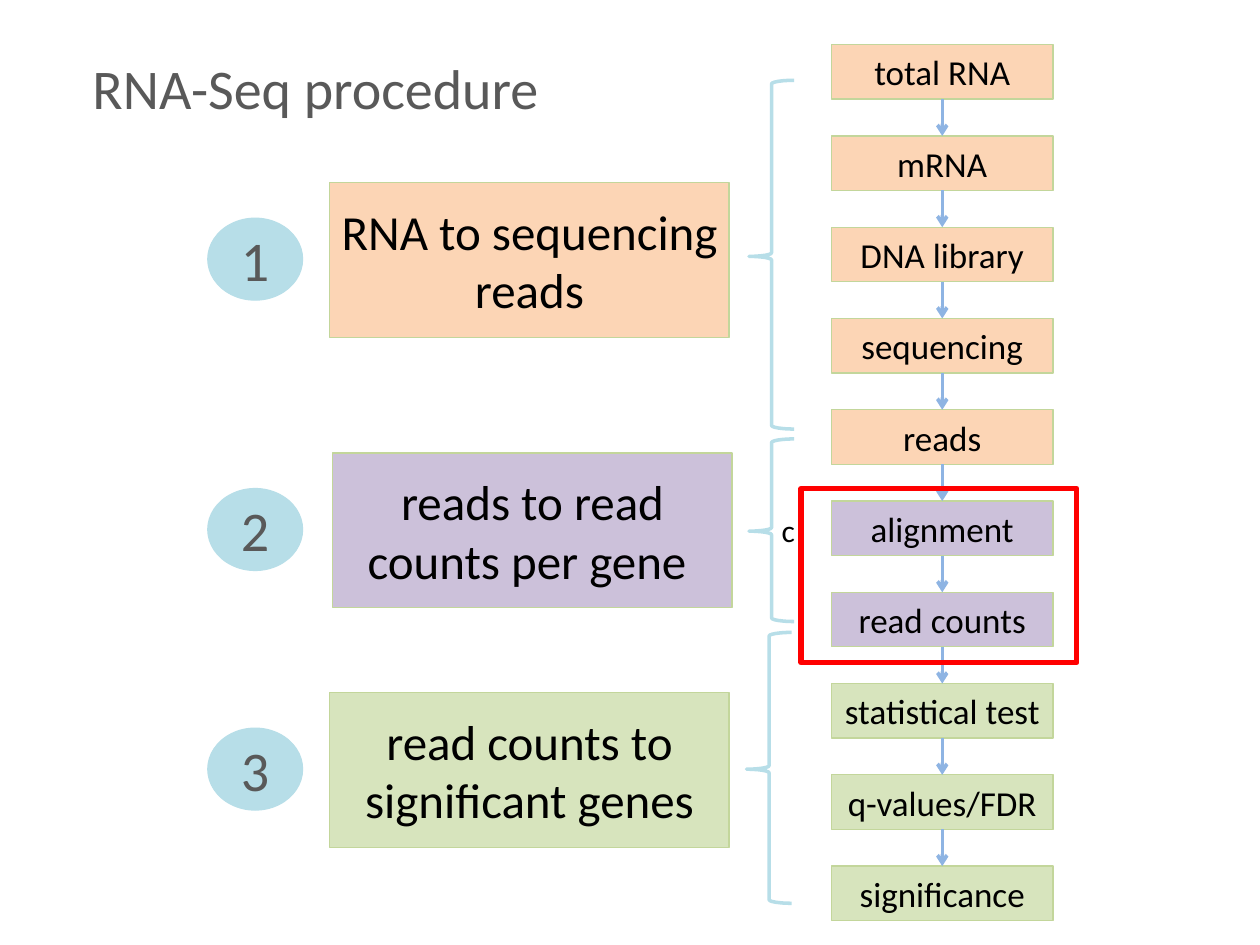
from lxml.etree import SubElement
from pptx import Presentation
from pptx.dml.color import RGBColor
from pptx.enum.shapes import MSO_CONNECTOR, MSO_SHAPE
from pptx.enum.text import MSO_ANCHOR, MSO_AUTO_SIZE, PP_ALIGN
from pptx.oxml.ns import qn
from pptx.util import Cm, Pt

BLACK = RGBColor(0x00, 0x00, 0x00)
GREY = RGBColor(0x59, 0x59, 0x59)
ORANGE = RGBColor(0xFC, 0xD5, 0xB5)
PURPLE = RGBColor(0xCC, 0xC1, 0xDA)
GREEN = RGBColor(0xD7, 0xE4, 0xBD)
EDGE = RGBColor(0xC3, 0xD6, 0x9B)
BLUE = RGBColor(0x8E, 0xB4, 0xE3)
AQUA = RGBColor(0xB7, 0xDE, 0xE8)
RED = RGBColor(0xFF, 0x00, 0x00)

STEP_LEFT, STEP_TOP, STEP_WIDTH, STEP_HEIGHT, STEP_PITCH = 16.76, 0.9, 4.47, 1.1, 1.84
STEPS = [
    ("total RNA", ORANGE), ("mRNA", ORANGE), ("DNA library", ORANGE),
    ("sequencing", ORANGE), ("reads", ORANGE), ("alignment", PURPLE),
    ("read counts", PURPLE), ("statistical test", GREEN),
    ("q-values/FDR", GREEN), ("significance", GREEN),
]
STAGES = [
    ("RNA to sequencing reads", ORANGE, 6.65, 3.68),
    ("reads to read counts per gene ", PURPLE, 6.71, 9.13),
    ("read counts to significant genes", GREEN, 6.65, 13.96),
]
BRACES = [(15.1, 1.62, 7.03, ""), (15.1, 8.85, 3.68, "c"), (15.05, 12.75, 5.46, "")]


def write_text(shape, text, size, colour, inset=None):
    """Put one centred paragraph in the middle of a shape."""
    frame = shape.text_frame
    layout = {"word_wrap": True, "auto_size": MSO_AUTO_SIZE.NONE,
              "vertical_anchor": MSO_ANCHOR.MIDDLE}
    if inset is not None:
        sides = ("left", "top", "right", "bottom")
        layout.update({f"margin_{side}": inset for side in sides})
    for name, value in layout.items():
        setattr(frame, name, value)
    para = frame.paragraphs[0]
    para.alignment = PP_ALIGN.CENTER
    span = para.add_run()
    span.text = text
    for name, value in {"name": "Calibri", "size": Pt(size)}.items():
        setattr(span.font, name, value)
    span.font.color.rgb = colour


def add_outline(page, kind, place, line, width, fill=None):
    """Add a preset shape at a place given in centimetres."""
    shape = page.shapes.add_shape(kind, *map(Cm, place))
    shape.shadow.inherit = False
    if fill is None:
        shape.fill.background()
    else:
        shape.fill.solid()
        shape.fill.fore_color.rgb = fill
    shape.line.color.rgb = line
    shape.line.width = Pt(width)
    return shape


def add_box(page, text, place, fill, size):
    """Add a filled rectangle with a label."""
    box = add_outline(page, MSO_SHAPE.RECTANGLE, place, EDGE, 0.75, fill)
    write_text(box, text, size, BLACK, 0)


def add_number(page, text, place):
    """Add a numbered ellipse."""
    badge = add_outline(page, MSO_SHAPE.OVAL, place, AQUA, 0.75, AQUA)
    write_text(badge, text, 32, GREY, 0)


def add_brace(page, left, top, height, text):
    """Add a left brace with an optional label."""
    place = (left, top, 0.91, height)
    brace = add_outline(page, MSO_SHAPE.LEFT_BRACE, place, AQUA, 2)
    for index, value in enumerate((0.08, 0.505)):
        brace.adjustments[index] = value
    if text:
        write_text(brace, text, 18, BLACK)


def add_arrow(page, x, top, bottom):
    """Add a downward arrow."""
    arrow = page.shapes.add_connector(
        MSO_CONNECTOR.STRAIGHT, Cm(x), Cm(top), Cm(x), Cm(bottom))
    arrow.line.color.rgb = BLUE
    arrow.line.width = Pt(2)
    SubElement(arrow.line._get_or_add_ln(), qn("a:tailEnd"), type="arrow")
    SubElement(arrow._element.spPr, qn("a:effectLst"))


def add_title(page, text):
    """Place and fill the title placeholder."""
    title = page.shapes.title
    place = {"left": 1.27, "top": 0.76, "width": 10.19, "height": 1.98}
    for name, value in place.items():
        setattr(title, name, Cm(value))
    write_text(title, text, 32, GREY)


def add_steps(page):
    """Add the column of steps and the arrows between them."""
    tops = [STEP_TOP + STEP_PITCH * index for index in range(len(STEPS))]
    for (text, fill), top in zip(STEPS, tops):
        add_box(page, text, (STEP_LEFT, top, STEP_WIDTH, STEP_HEIGHT), fill, 20)
    for top, following in zip(tops, tops[1:]):
        add_arrow(page, STEP_LEFT + STEP_WIDTH / 2, top + STEP_HEIGHT, following)


def main():
    """Build and save the slide."""
    deck = Presentation()
    deck.slide_width, deck.slide_height = Cm(25.4), Cm(19.05)
    page = deck.slides.add_slide(deck.slide_layouts[5])
    add_title(page, "RNA-Seq procedure")
    add_steps(page)
    for number, (text, fill, left, top) in enumerate(STAGES, 1):
        add_box(page, text, (left, top, 8.05, 3.12), fill, 28)
        add_number(page, str(number), (4.19, top + 0.72, 1.91, 1.65))
    for brace in BRACES:
        add_brace(page, *brace)
    add_outline(page, MSO_SHAPE.RECTANGLE, (16.15, 9.85, 5.56, 3.51), RED, 3)
    deck.save("out.pptx")


if __name__ == "__main__":
    main()
